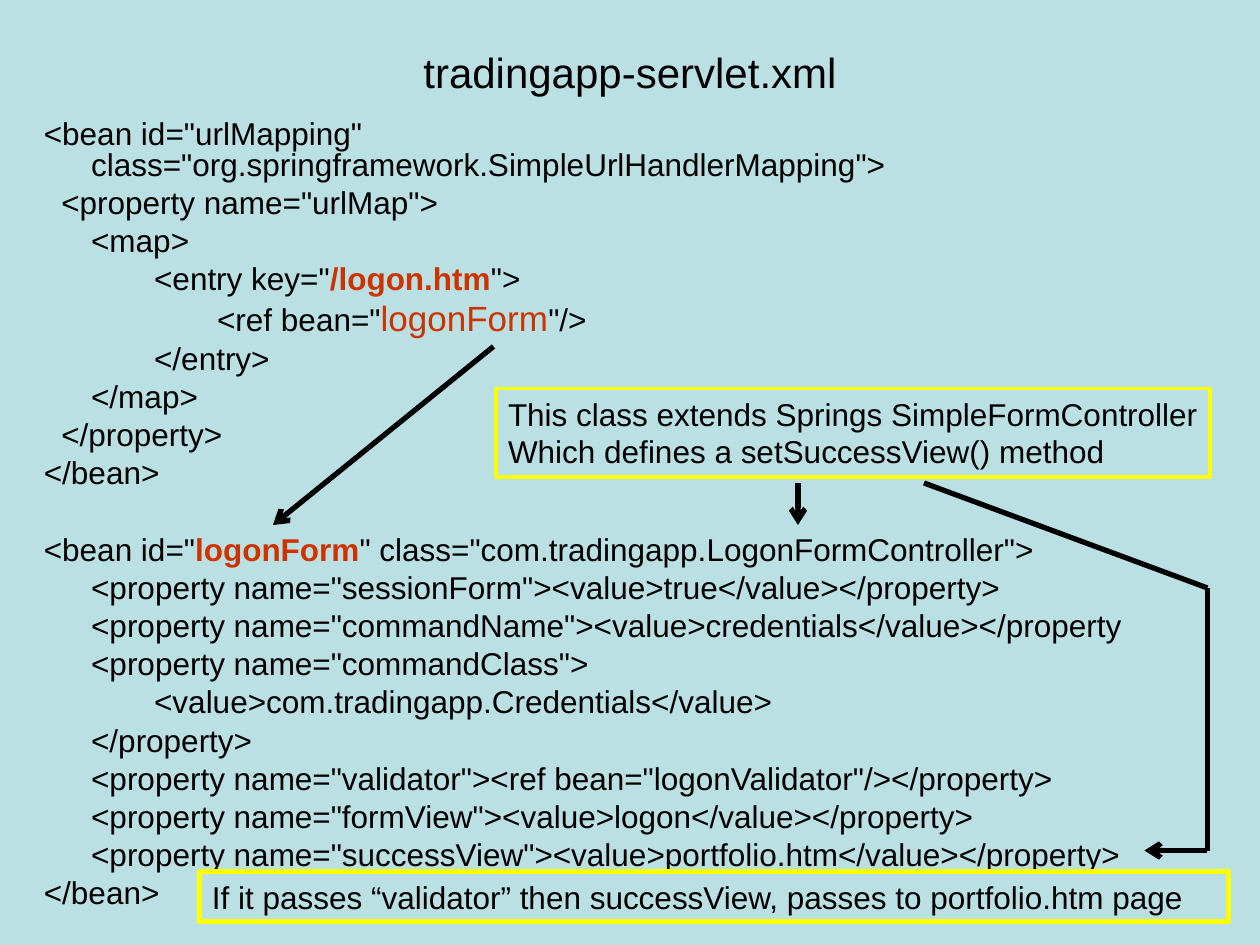
from lxml import etree
from pptx import Presentation
from pptx.dml.color import RGBColor
from pptx.enum.shapes import MSO_CONNECTOR, MSO_SHAPE
from pptx.enum.text import MSO_ANCHOR, PP_ALIGN
from pptx.oxml.ns import qn
from pptx.util import Inches, Pt

STRAIGHT = MSO_CONNECTOR.STRAIGHT
RECTANGLE = MSO_SHAPE.RECTANGLE
MIDDLE, TOP = MSO_ANCHOR.MIDDLE, MSO_ANCHOR.TOP
CENTER, LEFT = PP_ALIGN.CENTER, PP_ALIGN.LEFT

FONT = "Arial"
BACKGROUND, INK, ACCENT, YELLOW = "BBE0E3", "000000", "CC3300", "FFFF00"
HANGING = Inches(0.375)
BEAN_GAP = 26.5  # one empty line plus the normal space before

# A line is one string, or (before, highlighted, after, highlight size, bold)
MAPPING_BEAN = [
    '<bean id="urlMapping"\vclass="org.springframework.SimpleUrlHandlerMapping">',
    '  <property name="urlMap">',
    "\t<map>",
    ('\t\t<entry key="', "/logon.htm", '">', 18, True),
    ('\t\t\t<ref bean="', "logonForm", '"/>', 20, False),
    "\t\t</entry>",
    "\t</map>",
    "  </property>",
    "</bean>",
]
FORM_BEAN = [
    ('<bean id="', "logonForm", '" class="com.tradingapp.LogonFormController">', 18, True),
    '\t<property name="sessionForm"><value>true</value></property>',
    '\t<property name="commandName"><value>credentials</value></property',
    '\t<property name="commandClass">',
    "\t\t<value>com.tradingapp.Credentials</value>",
    "\t</property>",
    '\t<property name="validator"><ref bean="logonValidator"/></property>',
    '\t<property name="formView"><value>logon</value></property>',
    '\t<property name="successView"><value>portfolio.htm</value></property>',
    "</bean>",
]


def grid(*units):
    """Lengths on a grid of 120 columns by 90 rows, twelve to the inch."""
    return [Inches(unit / 12) for unit in units]


def color(hex_string):
    return RGBColor.from_string(hex_string)


def set_font(font, size, hex_string=INK):
    font.name, font.size = FONT, Pt(size)
    font.color.rgb = color(hex_string)


def add_tab_stops(paragraph):
    properties = paragraph._p.get_or_add_pPr()
    stops = etree.SubElement(properties, qn("a:tabLst"))
    for inch in range(8):
        etree.SubElement(stops, qn("a:tab"), pos=str(Inches(inch)), algn="l")


def add_title(slide, box, text):
    frame = slide.shapes.add_textbox(*grid(*box)).text_frame
    frame.word_wrap = True
    frame.vertical_anchor = MIDDLE
    paragraph = frame.paragraphs[0]
    paragraph.text = text
    paragraph.alignment = CENTER
    set_font(paragraph.font, 24)


def fill_code_line(paragraph, line):
    if isinstance(line, str):
        paragraph.text = line
        return
    before, highlighted, after, size, bold = line
    paragraph.add_run().text = before
    run = paragraph.add_run()
    run.text = highlighted
    set_font(run.font, size, ACCENT)
    run.font.bold = bold
    paragraph.add_run().text = after


def add_code(slide, box, beans):
    frame = slide.shapes.add_textbox(*grid(*box)).text_frame
    frame.word_wrap = True
    for bean_index, bean in enumerate(beans):
        for line_index, line in enumerate(bean):
            first = bean_index == line_index == 0
            paragraph = frame.paragraphs[0] if first else frame.add_paragraph()
            paragraph.line_spacing = 0.8
            if not first:
                paragraph.space_before = Pt(4.5 if line_index else BEAN_GAP)
            properties = paragraph._p.get_or_add_pPr()
            properties.set("marL", str(HANGING))
            properties.set("indent", str(-HANGING))
            add_tab_stops(paragraph)
            set_font(paragraph.font, 18)
            fill_code_line(paragraph, line)


def add_note(slide, box, lines, line_width, wrap):
    shape = slide.shapes.add_shape(RECTANGLE, *grid(*box))
    shape.shadow.inherit = False
    shape.fill.background()
    shape.line.color.rgb = color(YELLOW)
    shape.line.width = Pt(line_width)
    frame = shape.text_frame
    frame.word_wrap = wrap
    frame.vertical_anchor = TOP
    for index, line in enumerate(lines):
        paragraph = frame.add_paragraph() if index else frame.paragraphs[0]
        paragraph.text = line
        paragraph.alignment = LEFT
        set_font(paragraph.font, 18)


def add_arrow(slide, *points):
    """Straight segments through the points, with a head on the last one."""
    for start, end in zip(points, points[1:]):
        connector = slide.shapes.add_connector(STRAIGHT, *grid(*start, *end))
        connector.line.color.rgb = color(INK)
        connector.line.width = Pt(3)
        etree.SubElement(connector._element.spPr, qn("a:effectLst"))
    etree.SubElement(connector.line._get_or_add_ln(), qn("a:tailEnd"), type="arrow")


def main():
    presentation = Presentation()
    presentation.slide_width, presentation.slide_height = grid(120, 90)
    slide = presentation.slides.add_slide(presentation.slide_layouts[6])
    slide.background.fill.solid()
    slide.background.fill.fore_color.rgb = color(BACKGROUND)

    # Title and bean definitions
    add_title(slide, (6, 3.6, 108, 6.4), "tradingapp-servlet.xml")
    add_code(slide, (3, 11, 113, 77), [MAPPING_BEAN, FORM_BEAN])

    # Reference to the form bean
    add_arrow(slide, (47, 33), (26, 50))

    # Controller note, pointing at its class and at the success view
    add_note(slide, (47.2, 37, 68, 8.4),
             ["This class extends Springs SimpleFormController",
              "Which defines a setSuccessView() method"], 2.25, False)
    add_arrow(slide, (76, 46), (76, 50))
    add_arrow(slide, (88, 46), (115, 56), (115, 81), (109, 81))

    # Validation note
    add_note(slide, (19, 83, 98, 4.8),
             ["If it passes “validator” then successView, passes to portfolio.htm page"],
             3, True)
    presentation.save("out.pptx")


if __name__ == "__main__":
    main()
